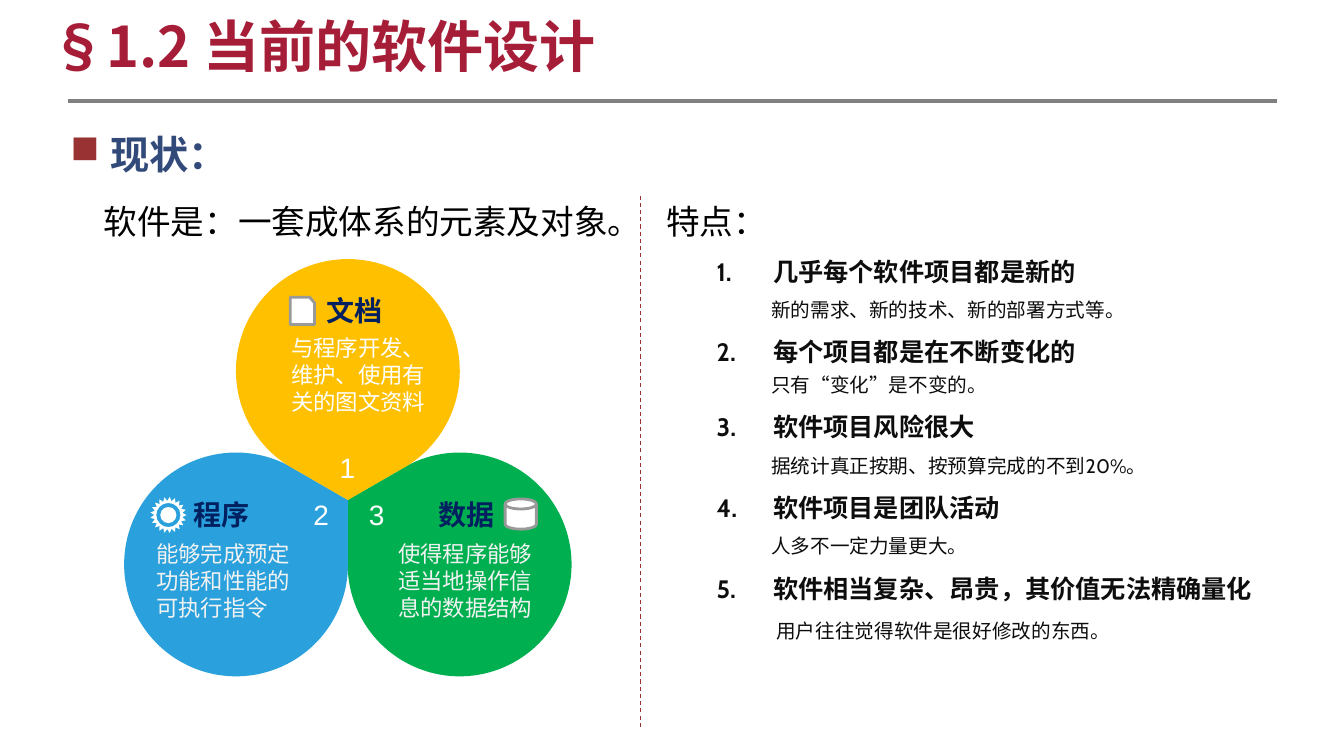
from math import cos, pi, radians, sin, tan

from lxml.etree import SubElement
from pptx import Presentation
from pptx.dml.color import RGBColor
from pptx.enum.dml import MSO_LINE
from pptx.enum.lang import MSO_LANGUAGE_ID
from pptx.enum.shapes import MSO_CONNECTOR, MSO_SHAPE
from pptx.enum.text import MSO_ANCHOR, PP_ALIGN
from pptx.oxml.ns import qn
from pptx.util import Inches, Pt

COLORS = {
    "title": "A61D38", "rule": "808080", "brick": "993333", "head": "324A7A",
    "black": "000000", "ink": "0D0D0D", "navy": "002060", "white": "FFFFFF",
    "pale": "F2F2F2", "edge": "999999",
    "gold": "FFC000", "blue": "2AA1DC", "green": "00B050",
}
SANS, BODY, SERIF, DIGIT = "Noto Sans CJK SC", "Cabin", "Times New Roman", "Arial"

POINTS = [
    ("几乎每个软件项目都是新的", "新的需求、新的技术、新的部署方式等。"),
    ("每个项目都是在不断变化的", "只有“变化”是不变的。"),
    ("软件项目风险很大", "据统计真正按期、按预算完成的不到20%。"),
    ("软件项目是团队活动", "人多不一定力量更大。"),
    ("软件相当复杂、昂贵，其价值无法精确量化", "用户往往觉得软件是很好修改的东西。"),
]


def rgb(name):
    return RGBColor.from_string(COLORS[name])


def add_run(para, text, size, font, color, bold=False, asian=BODY):
    run = para.add_run()
    run.text = text
    run.font.size = Pt(size)
    run.font.name = font
    run.font.bold = bold
    run.font.color.rgb = rgb(color)
    run.font.language_id = MSO_LANGUAGE_ID.SIMPLIFIED_CHINESE
    props = run.font._element
    props.find(qn("a:latin")).addnext(props.makeelement(qn("a:ea"), {"typeface": asian}))


def add_box(slide, left, top, width, height):
    box = slide.shapes.add_textbox(*map(Inches, (left, top, width, height)))
    box.text_frame.word_wrap = True
    return box.text_frame


def add_label(slide, box, text, size, font, color, bold=False):
    para = add_box(slide, *box).paragraphs[0]
    add_run(para, text, size, font, color, bold)
    return para


def set_indent(para, left, hang=0):
    props = para._p.get_or_add_pPr()
    props.set("marL", str(Inches(left)))
    props.set("indent", str(Inches(hang)))
    return props


def add_line(slide, start, end, color, width):
    ends = map(Inches, (*start, *end))
    line = slide.shapes.add_connector(MSO_CONNECTOR.STRAIGHT, *ends)
    line.line.color.rgb = rgb(color)
    line.line.width = Pt(width)
    SubElement(line._element.spPr, qn("a:effectLst"))
    return line


def paint(shape, fill, edge=None):
    shape.shadow.inherit = False
    shape.fill.solid()
    shape.fill.fore_color.rgb = rgb(fill)
    if edge:
        shape.line.color.rgb = rgb(edge)
        shape.line.width = Pt(2)
    else:
        shape.line.fill.background()


def polar(x, y, radius, angle):
    turn = radians(angle)
    return Inches(x + radius * cos(turn)), Inches(y + radius * sin(turn))


def arc(x, y, radius, stops):
    """Return the start, then two handles and an end for each curve."""
    points = [polar(x, y, radius, stops[0])]
    for start, end in zip(stops, stops[1:]):
        pull = 4 / 3 * tan(radians(end - start) / 4)
        far = radius * (1 + pull ** 2) ** 0.5
        lean = 180 / pi * pull - 180 / pi * pull ** 3 / 3 + 180 / pi * pull ** 5 / 5
        points += [polar(x, y, far, start + lean), polar(x, y, far, end - lean),
                   polar(x, y, radius, end)]
    return points


def add_outline(slide, rings, fill):
    """Draw closed rings as one shape whose last twelve points form four curves."""
    first, *rest = rings
    form = slide.shapes.build_freeform(*first[0], scale=1.0)
    form.add_line_segments(first[1:], close=True)
    for ring in rest:
        form.move_to(*ring[0])
        form.add_line_segments(ring[1:], close=True)
    shape = form.convert_to_shape()
    lines = list(shape._element.iter(qn("a:lnTo")))[-12:]
    for i in range(0, 12, 3):
        curve = lines[i].makeelement(qn("a:cubicBezTo"), {})
        lines[i].addprevious(curve)
        for line in lines[i:i + 3]:
            curve.append(line[0])
            line.getparent().remove(line)
    paint(shape, fill)


def add_petal(slide, hub, axis, fill):
    """Draw a disc that tapers to the hub; axis is its direction in degrees."""
    x, y = hub
    reach, radius, notch = 1.28, 1.11, 27
    mid_x, mid_y = x + reach * cos(radians(axis)), y + reach * sin(radians(axis))
    stops = [axis + 180 + step for step in (notch, 90, 180, 270, 360 - notch)]
    add_outline(slide, [[(Inches(x), Inches(y)), *arc(mid_x, mid_y, radius, stops)]], fill)


def add_gear(slide, x, y, teeth=21):
    step = 180 / teeth
    rim = [polar(x, y, 0.14 if i % 2 else 0.18, i * step) for i in range(2 * teeth)]
    hole = arc(x, y, 0.12, range(360, -1, -90))
    add_outline(slide, [rim, hole], "white")
    add_icon(slide, MSO_SHAPE.OVAL, (x - 0.08, y - 0.08, 0.16, 0.16))


def add_icon(slide, kind, box, edge=None):
    icon = slide.shapes.add_shape(kind, *map(Inches, box))
    paint(icon, "white", edge)
    return icon


def add_title(slide, left, top, width, height):
    title = slide.shapes.title
    title.left, title.top, title.width, title.height = map(
        Inches, (left, top, width, height))
    frame = title.text_frame
    frame.vertical_anchor = MSO_ANCHOR.TOP
    para = frame.paragraphs[0]
    para.alignment = PP_ALIGN.LEFT
    para.line_spacing = Pt(32)
    add_run(para, "§1.2 当前的软件设计", 40, SANS, "title", True)
    add_line(slide, (0.67, 1), (12.67, 1), "rule", 3)


def add_status(slide, left, top, width, height):
    para = add_label(slide, (left, top, width, height), "现状：", 28, SANS, "head", True)
    props = set_indent(para, 0.4, -0.4)
    color = SubElement(props, qn("a:buClr"))
    SubElement(color, qn("a:srgbClr"), val=COLORS["brick"])
    SubElement(props, qn("a:buFont"), typeface="Wingdings", charset="2")
    SubElement(props, qn("a:buChar"), char="n")
    para.line_spacing = 1.5


def add_trio(slide, left, top):
    """Place the lead sentence and the three joined petals below it."""
    lead = add_label(slide, (left, top, 5.74, 0.8),
                     "软件是：一套成体系的元素及对象。", 24, SANS, "black")
    lead.line_spacing = 1.5
    x, y = left + 2.52, top + 3.22
    for axis, fill in ((30, "green"), (150, "blue"), (270, "gold")):
        add_petal(slide, (x, y), axis, fill)

    parts = [
        ("1", (-0.18, -0.54), "文档", (-0.31, -2.1),
         "与程序开发、维护、使用有关的图文资料", (-0.66, -1.69, 1.54), "white"),
        ("2", (-0.44, -0.07), "程序", (-1.63, -0.07),
         "能够完成预定功能和性能的可执行指令", (-2, 0.35, 1.66), "pale"),
        ("3", (0.11, -0.07), "数据", (0.8, -0.07),
         "使得程序能够适当地操作信息的数据结构", (0.4, 0.35, 1.66), "pale"),
    ]
    for number, spot, name, head, text, (dx, dy, width), color in parts:
        add_label(slide, (x + spot[0], y + spot[1], 0.48, 0.44),
                  number, 20, DIGIT, "white")
        add_label(slide, (x + head[0], y + head[1], 0.96, 0.44),
                  name, 20, SERIF, "navy", True)
        add_label(slide, (x + dx, y + dy, width, 0.91), text, 16, SERIF, color)

    add_gear(slide, x - 1.78, y + 0.15)
    add_icon(slide, MSO_SHAPE.FLOWCHART_MAGNETIC_DISK,
             (x + 1.56, y - 0.01, 0.31, 0.3), "edge")
    card = add_icon(slide, MSO_SHAPE.FLOWCHART_CARD,
                    (x - 0.57, y - 2.01, 0.24, 0.27), "edge")
    card._element.spPr.xfrm.set("flipH", "1")


def add_traits(slide, left, top, width, height):
    frame = add_box(slide, left, top, width, height)
    para = frame.paragraphs[0]
    para.line_spacing = 1.5
    add_run(para, "特点：", 24, SANS, "black")
    for head, note in POINTS:
        para = frame.add_paragraph()
        para.level = 1
        para.line_spacing = 1.5
        props = set_indent(para, 1.06, -0.56)
        SubElement(props, qn("a:buFont"), typeface=SANS)
        SubElement(props, qn("a:buAutoNum"), type="arabicPeriod")
        add_run(para, head, 18, BODY, "ink", True)
        para = frame.add_paragraph()
        para.level = 2
        set_indent(para, 1.04)
        # Full-width quotes need the taller font, so the line factor shrinks.
        quoted = "“" in note
        para.line_spacing = 1.26 if quoted else 1.5
        add_run(para, note, 14, BODY, "ink", asian=SANS if quoted else BODY)
    set_indent(para, 1.09)
    para.space_before = Pt(3)


def main():
    deck = Presentation()
    deck.slide_width, deck.slide_height = Inches(13.33), Inches(7.5)
    slide = deck.slides.add_slide(deck.slide_layouts[5])
    add_title(slide, 0.4, 0.29, 8.01, 0.73)
    add_status(slide, 0.6, 1.01, 12, 0.9)
    add_trio(slide, 0.93, 1.74)
    add_traits(slide, 6.51, 1.74, 6.32, 5.33)
    divider = add_line(slide, (6.35, 1.94), (6.35, 7.21), "brick", 0.75)
    divider.line.dash_style = MSO_LINE.DASH
    deck.save("out.pptx")


if __name__ == "__main__":
    main()
